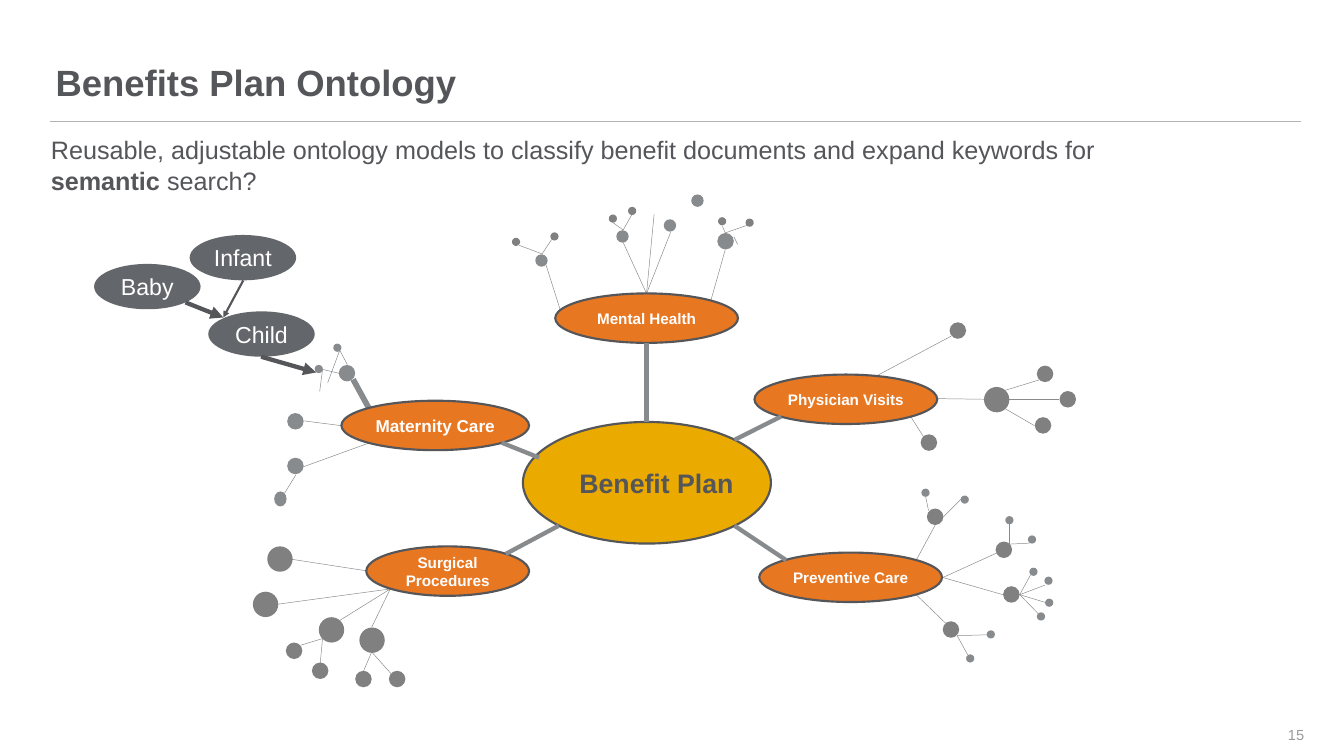
"""Draw the benefits plan ontology slide as a hub with branching nodes."""
from dataclasses import dataclass

import lxml.etree
import pptx
import pptx.dml.color
import pptx.enum.shapes
import pptx.enum.text
import pptx.oxml.ns
import pptx.util

Pt = pptx.util.Pt
Point = tuple[float, float]
Align = pptx.enum.text.PP_ALIGN
Anchor = pptx.enum.text.MSO_ANCHOR


@dataclass(frozen=True)
class Theme:
    font: str = "Arial"
    ink: str = "55565A"
    rule: str = "B1B3B3"
    pale: str = "999A9B"
    steel: str = "888B8D"
    gray: str = "808080"
    slate: str = "63666A"
    orange: str = "E87722"
    gold: str = "EAAA00"
    white: str = "FFFFFF"
    title: float = 38.2
    lead: float = 26.4
    hub: float = 28
    large: float = 18
    topic: float = 16
    term: float = 24.2
    number: float = 15.3


@dataclass(frozen=True)
class Fan:
    start: Point
    ends: list[Point]


@dataclass(frozen=True)
class Dots:
    size: Point
    color: str
    spots: list[Point]


@dataclass(frozen=True)
class Link:
    start: Point
    end: Point
    width: float


@dataclass(frozen=True)
class Label:
    text: str
    left: float
    top: float
    width: float
    height: float
    fill: str
    size: float
    color: str = "FFFFFF"
    bold: bool = True
    edge: bool = True
    inset: float = 0


LOOK = Theme()

FANS = [
    Fan((590, 334), [(572, 277)]),
    Fan((677.5, 307.5), [(685.4, 224.6), (653, 254), (702.7, 243.4)]),
    Fan((745, 314.6), [(760, 261.4)]),
    Fan((568, 266), [(578, 251), (544, 257)]),
    Fan((653, 241), [(642, 233), (662, 225)]),
    Fan((760, 244), [(757, 237), (783, 236)]),
    Fan((769, 248), [(773, 256)]),
    Fan((920, 393), [(997, 352)]),
    Fan((954, 436), [(968, 458)]),
    Fan((982, 417.6), [(1031, 418.3)]),
    Fan((1053, 409), [(1089, 398)]),
    Fan((1057, 418.3), [(1110, 418.3)]),
    Fan((1053, 428), [(1084, 446)]),
    Fan((960, 623), [(991, 653)]),
    Fan((988, 605), [(1051, 623), (1054, 575)]),
    Fan((980, 550), [(960, 587)]),
    Fan((988.6, 541.4), [(1007, 523)]),
    Fan((973, 535), [(970, 520.6)]),
    Fan((1058, 570), [(1058, 549), (1079, 569)]),
    Fan((1068.5, 623), [(1080, 602), (1095, 613), (1095, 631), (1088, 643)]),
    Fan((1003, 666), [(1035, 665), (1014, 686)]),
    Fan((384, 598), [(306, 586)]),
    Fan((409, 617), [(291, 633), (389.5, 657), (356, 650)]),
    Fan((338, 669), [(335.5, 695.5), (315, 676)]),
    Fan((389.5, 683), [(381, 703), (410, 706)]),
    Fan((387, 464), [(318, 489)]),
    Fan((358, 446), [(319, 441)]),
    Fan((310, 497.5), [(298, 517)]),
    Fan((356, 367), [(343.4, 401), (364, 382)]),
    Fan((338, 387), [(335, 410), (355, 391)]),
]

DOTS = [
    Dots((26.6, 26.6), LOOK.gray, [
        (1044.4, 418.7), (347.4, 659.9), (293.4, 585.7), (278.3, 633.2), (389.9, 670.7)]),
    Dots((17.3, 17.3), LOOK.gray, [
        (1095.1, 391.7), (1003.7, 346.3), (973.4, 463.7), (996.5, 659.5), (1051.9, 576),
        (1059.8, 622.8), (979.9, 541.4), (335.5, 702.7), (380.9, 711.4), (308.2, 681.8),
        (1118.9, 418.3), (1093, 445.7), (416.2, 711.4)]),
    Dots((17.3, 17.3), LOOK.steel, [
        (760.3, 252.7), (363.6, 391), (309.6, 441.4), (309.6, 488.2)]),
    Dots((13, 13), LOOK.steel, [
        (652.3, 247.7), (702, 236.2), (567.4, 272.9), (730.8, 210.2)]),
    Dots((13, 15.8), LOOK.steel, [(293.8, 522.7)]),
    Dots((8.6, 8.6), LOOK.gray, [
        (581, 247.7), (662.4, 221), (756.7, 231.8), (540.7, 253.4), (642.2, 229),
        (785.5, 233.3)]),
    Dots((8.6, 8.6), LOOK.steel, [
        (1057.7, 545), (1082.9, 599), (1038.2, 664.6), (1016.6, 689.8), (1010.9, 523.4),
        (969.8, 516.2), (1081.4, 565.2), (1098.7, 608.4), (1099.4, 631.4), (1090.8, 645.8),
        (353.5, 364.3), (334, 386.6)]),
]

LABELS = [
    Label("Benefit Plan", 547.9, 442.1, 259.9, 127.4, LOOK.gold, LOOK.hub, LOOK.ink, inset=20),
    Label("Surgical Procedures", 383.8, 572.4, 170.6, 51.8, LOOK.orange, LOOK.topic),
    Label("Maternity Care", 357.8, 419.8, 196.6, 51.8, LOOK.orange, LOOK.large),
    Label("Physician Visits", 790.6, 392.4, 191.5, 51.8, LOOK.orange, LOOK.topic),
    Label("Preventive Care", 795.6, 578.9, 191.5, 51.8, LOOK.orange, LOOK.topic),
    Label("Mental Health", 581.8, 307.4, 191.5, 51.8, LOOK.orange, LOOK.topic),
] + [
    Label(text, left, top, 111.6, 47.5, LOOK.slate, LOOK.term, bold=False, edge=False)
    for text, left, top in [
        ("Child", 218.2, 326.2), ("Baby", 98.6, 276.5), ("Infant", 198.7, 246.2)]
]

LINKS = [
    Link((565, 479.5), (525.6, 463.7), 4.5),
    Link((585.4, 550.8), (530, 580.3), 4.5),
    Link((769.7, 460.8), (818.6, 436.3), 4.5),
    Link((769.7, 550.8), (823.7, 586.8), 4.5),
    Link((677.5, 442.1), (677.5, 359.3), 4.5),
]

ARROWS = [
    Link((254.9, 293.8), (234, 332.6), 2.25),
    Link((194.4, 316.8), (234, 332.6), 4.5),
    Link((273.6, 373.7), (331.2, 390.2), 4.5),
]


def tint(code: str) -> pptx.dml.color.RGBColor:
    return pptx.dml.color.RGBColor.from_string(code)


def draw_line(slide, link: Link, color: str, arrow: bool = False) -> None:
    ends = [Pt(value) for value in (*link.start, *link.end)]
    line = slide.shapes.add_connector(pptx.enum.shapes.MSO_CONNECTOR.STRAIGHT, *ends)
    line.line.color.rgb = tint(color)
    line.line.width = Pt(link.width)
    props = line._element.spPr
    if arrow:
        tag = pptx.oxml.ns.qn("a:tailEnd")
        lxml.etree.SubElement(line.line._get_or_add_ln(), tag, type="triangle")
    lxml.etree.SubElement(props, pptx.oxml.ns.qn("a:effectLst"))


def draw_oval(slide, left: float, top: float, width: float, height: float, fill: str):
    box = [Pt(value) for value in (left, top, width, height)]
    oval = slide.shapes.add_shape(pptx.enum.shapes.MSO_SHAPE.OVAL, *box)
    oval.shadow.inherit = False
    oval.fill.solid()
    oval.fill.fore_color.rgb = tint(fill)
    oval.line.fill.background()
    return oval


def set_font(part, size: float, color: str, bold: bool = False) -> None:
    part.font.name = LOOK.font
    part.font.size = Pt(size)
    part.font.bold = bold
    part.font.color.rgb = tint(color)


def set_frame(frame, anchor, inset: float = 0) -> None:
    frame.word_wrap = True
    frame.vertical_anchor = anchor
    frame.margin_left = Pt(inset)
    frame.margin_top = frame.margin_right = frame.margin_bottom = Pt(0)


def draw_label(slide, label: Label) -> None:
    oval = draw_oval(slide, label.left, label.top, label.width, label.height, label.fill)
    if label.edge:
        oval.line.color.rgb = tint(LOOK.ink)
        oval.line.width = Pt(2.25)
    set_frame(oval.text_frame, Anchor.MIDDLE, label.inset)
    part = oval.text_frame.paragraphs[0]
    part.text = label.text
    part.alignment = Align.CENTER
    set_font(part, label.size, label.color, label.bold)


def add_text(slide, box: tuple, text: str, size: float, color: str, anchor, bold: bool = False):
    frame = slide.shapes.add_textbox(*[Pt(value) for value in box]).text_frame
    set_frame(frame, anchor)
    part = frame.paragraphs[0]
    part.text = text
    set_font(part, size, color, bold)
    return frame


def main() -> None:
    deck = pptx.Presentation()
    deck.slide_width, deck.slide_height = Pt(1408.32), Pt(792)
    slide = deck.slides.add_slide(deck.slide_layouts[6])

    draw_line(slide, Link((52.6, 127.4), (1363.7, 127.4), 1), LOOK.rule)
    title = add_text(slide, (58.3, 52.6, 1153.4, 56.9), "Benefits Plan Ontology",
                     LOOK.title, LOOK.ink, Anchor.BOTTOM, True)
    title.paragraphs[0].line_spacing = 0.9
    page = add_text(slide, (1296, 748.8, 70.6, 42.5), "15",
                    LOOK.number, LOOK.pale, Anchor.MIDDLE)
    page.paragraphs[0].alignment = Align.RIGHT
    lead = add_text(
        slide, (53.3, 141.1, 1311.8, 61.9),
        "Reusable, adjustable ontology models to classify benefit documents and expand keywords for",
        LOOK.lead, LOOK.ink, Anchor.TOP)
    part = lead.add_paragraph()
    set_font(part, LOOK.lead, LOOK.ink)
    for text, bold in [("semantic", True), (" search?", False)]:
        run = part.add_run()
        run.text = text
        run.font.bold = bold

    for fan in FANS:
        for end in fan.ends:
            draw_line(slide, Link(fan.start, end, 0.5), LOOK.steel)
    draw_line(slide, Link((386.6, 427.7), (370, 397.4), 6), LOOK.steel)
    for group in DOTS:
        width, height = group.size
        for x, y in group.spots:
            draw_oval(slide, x - width / 2, y - height / 2, width, height, group.color)
    for label in LABELS:
        draw_label(slide, label)
    for link in LINKS:
        draw_line(slide, link, LOOK.steel)
    for arrow in ARROWS:
        draw_line(slide, arrow, LOOK.ink, True)
    deck.save("out.pptx")


if __name__ == "__main__":
    main()
